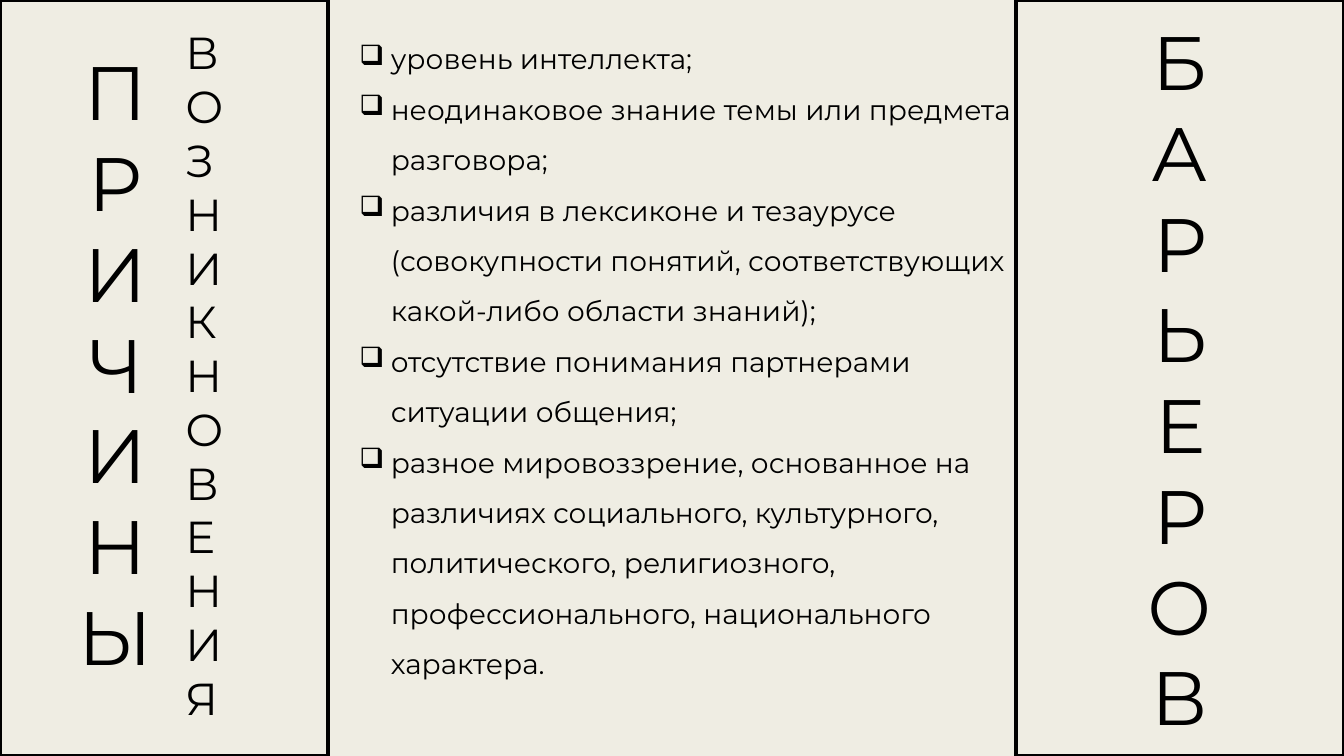
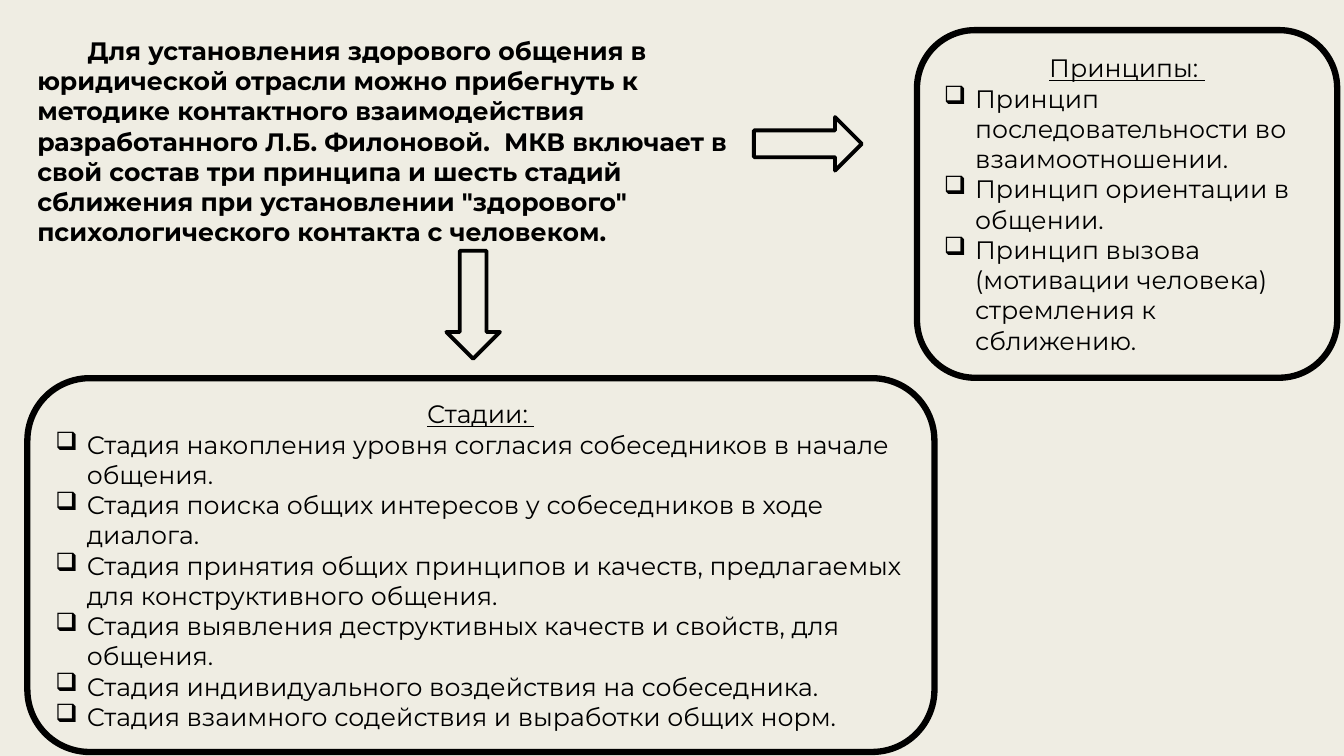
from lxml.etree import SubElement
from pptx import Presentation
from pptx.dml.color import RGBColor
from pptx.enum.shapes import MSO_SHAPE as SHAPE
from pptx.enum.text import MSO_ANCHOR as ANCHOR, PP_ALIGN as ALIGN
from pptx.oxml.ns import qn
from pptx.util import Cm, Pt

CREAM = RGBColor(0xEF, 0xED, 0xE3)
BLACK = RGBColor(0, 0, 0)
FONT = "Montserrat"
WIDE, HIGH = 33.87, 19.05
SIDE = 8.26
HANG = 0.79
THIN, THICK = 2.75, 4.5

# Columns of single letters: word, size, box in cm, alignment
WORDS = [
    ("ПРИЧИНЫ", 54, (-1.35, 1.02, 8.53, 16.41), ALIGN.CENTER),
    ("ВОЗНИКНОВЕНИЯ", 32, (4.42, 0.51, 1.47, 18.03), ALIGN.LEFT),
]
LAST = "БАРЬЕРОВ"
CAUSES = [
    "уровень интеллекта; ",
    "неодинаковое знание темы или предмета разговора;",
    "различия в лексиконе и тезаурусе (совокупности понятий, "
    "соответствующих какой-либо области знаний); ",
    "отсутствие понимания партнерами ситуации общения; ",
    "разное мировоззрение, основанное на различиях социального, "
    "культурного, политического, религиозного, профессионального, "
    "национального характера.",
]
INTRO = (
    "Для установления здорового общения в юридической отрасли можно "
    "прибегнуть к методике контактного взаимодействия разработанного "
    "Л.Б. Филоновой.  МКВ включает в свой состав три принципа и шесть "
    "стадий сближения при установлении \"здорового\" психологического "
    "контакта с человеком."
)
# Framed lists: heading, items, box in cm
CARDS = [
    ("Принципы: ", [
        "Принцип последовательности во взаимоотношении.",
        "Принцип ориентации в общении.\u00a0",
        "Принцип вызова (мотивации человека) стремления к сближению.",
    ], (23.11, 0.76, 10.59, 8.76)),
    ("Стадии: ", [
        "Стадия накопления уровня согласия собеседников в начале общения.",
        "Стадия поиска общих интересов у собеседников в ходе диалога.",
        "Стадия принятия общих принципов и качеств, предлагаемых для "
        "конструктивного общения.\u00a0",
        "Стадия выявления деструктивных качеств и свойств, для общения.",
        "Стадия индивидуального воздействия на собеседника.\u00a0",
        "Стадия взаимного содействия и выработки общих норм.",
    ], (0.69, 9.53, 22.86, 9.42)),
]
ARROWS = [
    (SHAPE.RIGHT_ARROW, (19, 2.95, 2.72, 1.35)),
    (SHAPE.DOWN_ARROW, (11.25, 6.32, 1.35, 2.72)),
]


def add_form(slide, kind, box, width):
    """Add a cream shape with a black outline."""
    form = slide.shapes.add_shape(kind, *map(Cm, box))
    form.shadow.inherit = False
    form.fill.solid()
    form.fill.fore_color.rgb = CREAM
    form.line.color.rgb = BLACK
    form.line.width = Pt(width)
    return form


def add_text(slide, box):
    """Add an empty wrapping text box."""
    return slide.shapes.add_textbox(*map(Cm, box))


def write(shape, lines, size, align=ALIGN.LEFT, bold=None):
    """Fill a shape with one paragraph a line and return the paragraphs."""
    frame = shape.text_frame
    frame.word_wrap = True
    frame.text = "\n".join(lines)
    for para in frame.paragraphs:
        para.alignment = align
        for run in para.runs:
            font = run.font
            font.name, font.size, font.bold = FONT, Pt(size), bold
            font.color.rgb = BLACK
    return frame.paragraphs


def mark(paras):
    """Give paragraphs a hanging box bullet."""
    for para in paras:
        props = para._p.get_or_add_pPr()
        props.set("marL", str(Cm(HANG)))
        props.set("indent", str(-Cm(HANG)))
        SubElement(props, qn("a:buChar")).set("char", "❑")


def causes(slide):
    """Build the causes between two side panels."""
    add_form(slide, SHAPE.RECTANGLE, (0, 0, SIDE, HIGH), THIN)
    panel = add_form(slide, SHAPE.RECTANGLE,
                     (WIDE - SIDE, 0, SIDE, HIGH), THIN)
    panel.text_frame.vertical_anchor = ANCHOR.MIDDLE
    write(panel, LAST, 54, ALIGN.CENTER)
    paras = write(add_text(slide, (8.81, 0.51, 17.25, 18.03)), CAUSES, 20)
    for para in paras:
        para.line_spacing = 1.5
    mark(paras)
    for word, size, box, align in WORDS:
        write(add_text(slide, box), word, size, align)


def method(slide):
    """Build the intro with arrows to the framed lists."""
    intro = add_text(slide, (0.69, 0.76, 18.31, 5.64))
    first = write(intro, [INTRO], 18, bold=True)[0]
    first._p.get_or_add_pPr().set("indent", str(Cm(1.27)))
    for kind, box in ARROWS:
        add_form(slide, kind, box, THIN)
    for head, items, box in CARDS:
        card = add_form(slide, SHAPE.ROUNDED_RECTANGLE, box, THICK)
        card.text_frame.vertical_anchor = ANCHOR.MIDDLE
        top, *rest = write(card, [head, *items], 18)
        top.alignment = ALIGN.CENTER
        top.runs[0].font.underline = True
        mark(rest)


deck = Presentation()
deck.slide_width, deck.slide_height = Cm(WIDE), Cm(HIGH)
back = deck.slide_master.background.fill
back.solid()
back.fore_color.rgb = CREAM
for build in (causes, method):
    build(deck.slides.add_slide(deck.slide_layouts[6]))
deck.save("out.pptx")
